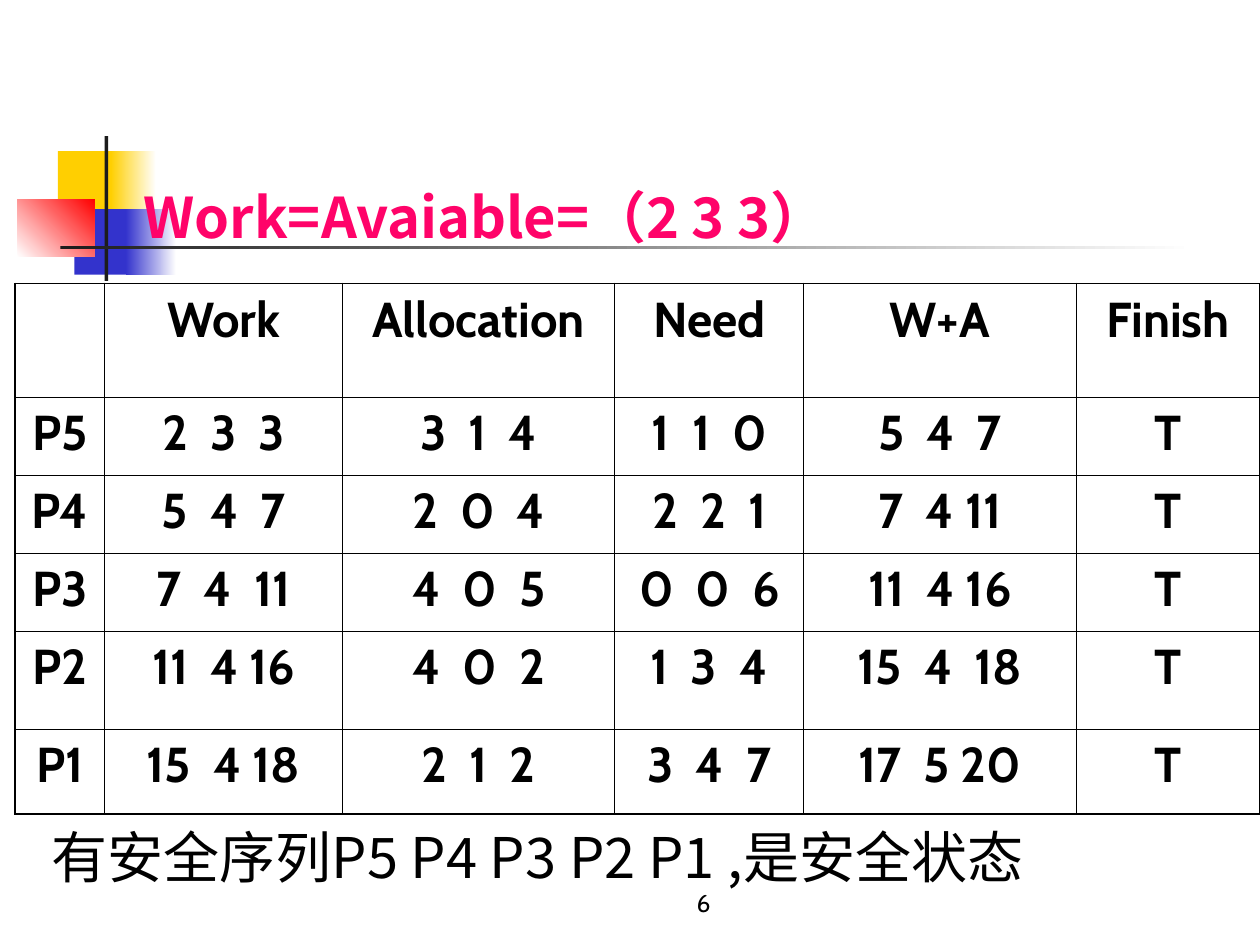
import pptx
import pptx.dml.color
import pptx.enum.shapes
import pptx.enum.text
import pptx.oxml.ns
import pptx.util
from lxml import etree

Inches = pptx.util.Inches
Pt = pptx.util.Pt
Align = pptx.enum.text.PP_ALIGN
Anchor = pptx.enum.text.MSO_ANCHOR

LATIN = "Cabin"
CJK = "Noto Sans CJK SC"
BLACK, WHITE, DARK = "000000", "FFFFFF", "1C1C1C"
YELLOW, BLUE, RED, PINK = "FFCF01", "3333CC", "FF0000", "FF0369"

# left, top, width, height, colours (two make a gradient), angle
DECORATION = [
    (0.46, 1.2, 0.48, 0.52, [YELLOW], 0),
    (0.88, 1.2, 0.36, 0.52, [YELLOW, WHITE], 0),
    (0.59, 1.66, 0.46, 0.52, [BLUE], 0),
    (1, 1.66, 0.4, 0.52, [BLUE, WHITE], 0),
    (0.14, 1.58, 0.61, 0.46, [WHITE, RED], 45),
    (0.83, 1.08, 0.03, 1.15, [DARK], 0),
    (0.48, 1.95, 9, 0.03, [DARK, WHITE], 0),
]

COL_WIDTHS = [0.71, 1.89, 2.16, 1.5, 2.16, 1.46]
ROW_HEIGHTS = [0.9, 0.62, 0.62, 0.62, 0.78, 0.67]
ROWS = [
    ["", "Work", "Allocation", "Need", "W+A", "Finish"],
    ["P5", "2  3  3", "3  1  4", "1  1  0", "5  4  7", "T"],
    ["P4", "5  4  7", "2  0  4", "2  2  1", "7  4 11", "T"],
    ["P3", "7  4  11", "4  0  5", "0  0  6", "11  4 16", "T"],
    ["P2", "11  4 16", "4  0  2", "1  3  4", "15  4  18", "T"],
    ["P1", "15  4 18", "2  1  2", "3  4  7", "17  5 20", "T"],
]
THIN, THICK = 0.45, 1.08


def rgb(color):
    return pptx.dml.color.RGBColor.from_string(color)


def add_run(p, text, size, font, color=BLACK, bold=False):
    r = p.add_run()
    r.text = text
    r.font.size = Pt(size)
    r.font.name = font
    r.font.bold = bold
    r.font.color.rgb = rgb(color)
    ea = etree.SubElement(r.font._element, pptx.oxml.ns.qn("a:ea"))
    ea.set("typeface", font)


def add_block(s, left, top, width, height, colors, angle):
    """Add a borderless rectangle with a solid or gradient fill."""
    sp = s.shapes.add_shape(
        pptx.enum.shapes.MSO_SHAPE.RECTANGLE,
        Inches(left), Inches(top), Inches(width), Inches(height))
    sp.shadow.inherit = False
    sp.line.fill.background()
    if len(colors) == 1:
        sp.fill.solid()
        sp.fill.fore_color.rgb = rgb(colors[0])
    else:
        sp.fill.gradient()
        sp.fill.gradient_angle = angle
        for stop, color in zip(sp.fill.gradient_stops, colors):
            stop.color.rgb = rgb(color)


def add_text(s, box, text, size, font, color=BLACK, bold=False,
             align=Align.LEFT, anchor=Anchor.TOP):
    sp = s.shapes.add_textbox(*[Inches(v) for v in box])
    tf = sp.text_frame
    tf.word_wrap = True
    tf.vertical_anchor = anchor
    p = tf.paragraphs[0]
    p.alignment = align
    add_run(p, text, size, font, color, bold)


def set_borders(cell, widths):
    """Draw black cell borders; widths maps L, R, T, B to points."""
    tc_pr = cell._tc.get_or_add_tcPr()
    for side, width in widths.items():
        ln = etree.SubElement(tc_pr, pptx.oxml.ns.qn(f"a:ln{side}"))
        ln.set("w", str(int(Pt(width))))
        fill = etree.SubElement(ln, pptx.oxml.ns.qn("a:solidFill"))
        etree.SubElement(fill, pptx.oxml.ns.qn("a:srgbClr")).set("val", BLACK)


def add_safety_table(s, left, top):
    last_row, last_col = len(ROWS) - 1, len(COL_WIDTHS) - 1
    table = s.shapes.add_table(
        len(ROWS), len(COL_WIDTHS), Inches(left), Inches(top),
        Inches(sum(COL_WIDTHS)), Inches(sum(ROW_HEIGHTS))).table
    table.first_row = table.horz_banding = False
    for col, width in zip(table.columns, COL_WIDTHS):
        col.width = Inches(width)
    for i, (row, height) in enumerate(zip(ROWS, ROW_HEIGHTS)):
        table.rows[i].height = Inches(height)
        for j, text in enumerate(row):
            cell = table.cell(i, j)
            set_borders(cell, {
                "L": THICK if j == 0 else THIN,
                "R": THICK if j == last_col else THIN,
                "T": THICK if i == 0 else THIN,
                "B": THICK if i == last_row else THIN,
            })
            cell.fill.background()
            p = cell.text_frame.paragraphs[0]
            p.alignment = Align.CENTER
            if text:
                add_run(p, text, 28, LATIN, bold=True)


def main():
    prs = pptx.Presentation()
    prs.slide_width, prs.slide_height = Inches(10), Inches(7.5)
    s = prs.slides.add_slide(prs.slide_layouts[6])
    for block in DECORATION:
        add_block(s, *block)
    add_text(s, (4, 6.83, 3.17, 0.5), "6", 14, LATIN,
             align=Align.CENTER, anchor=Anchor.BOTTOM)
    add_safety_table(s, 0.12, 2.25)
    add_text(s, (1.04, 1.4, 6.5, 1.17), "Work=Avaiable=（2 3 3）", 32, CJK,
             color=PINK, bold=True)
    add_text(s, (0.31, 6.48, 9.69, 0.64),
             "有安全序列P5 P4 P3 P2 P1 ,是安全状态", 32, CJK)
    prs.save("out.pptx")


if __name__ == "__main__":
    main()
